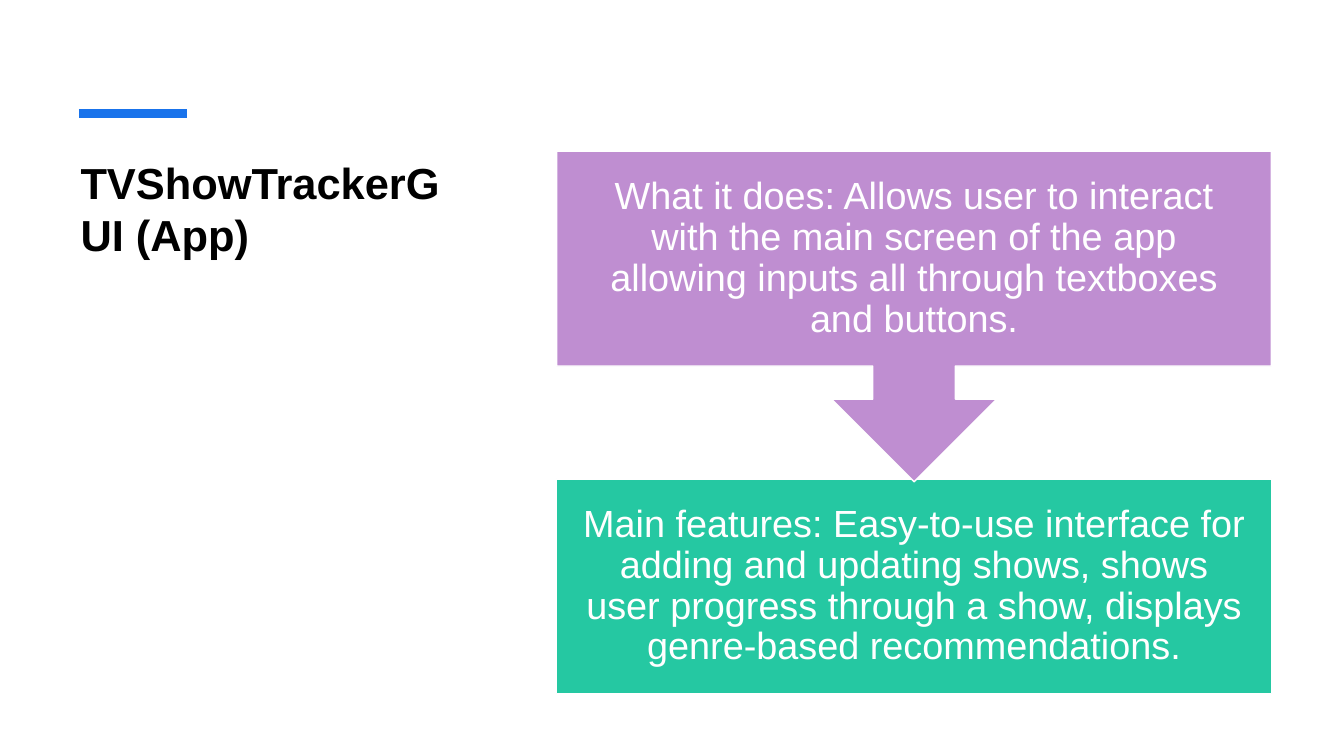
from dataclasses import dataclass

from lxml.etree import SubElement
from pptx import Presentation
from pptx.dml.color import RGBColor
from pptx.enum.shapes import MSO_CONNECTOR, MSO_SHAPE
from pptx.enum.text import MSO_ANCHOR, PP_ALIGN
from pptx.oxml.ns import qn
from pptx.slide import Slide
from pptx.util import Cm, Pt

COLORS = {
    "accent": "1973EB",
    "purpose": "BF8ED1",
    "features": "25C8A2",
    "heading": "000000",
    "light": "FFFFFF",
}
FONT = "Arial"

STEP_LEFT, STEP_WIDTH, STEP_HEIGHT = 14.03, 18.01, 5.41
STEP_INSET_X, STEP_INSET_Y = 0.58, 0.53
RULE_Y = 2.86


@dataclass
class Step:
    text: str
    color: str
    top: float
    outline: MSO_SHAPE
    outline_height: float
    rotation: int = 0


STEPS = [
    Step(
        "Main features: Easy-to-use interface for adding and updating shows, "
        "shows user progress through a show, displays genre-based recommendations.",
        "features", 12.07, MSO_SHAPE.RECTANGLE, STEP_HEIGHT,
    ),
    Step(
        "What it does: Allows user to interact with the main screen of the app "
        "allowing inputs all through textboxes and buttons.",
        "purpose", 3.81, MSO_SHAPE.UP_ARROW_CALLOUT, 8.33, 180,
    ),
]


def rgb(name: str) -> RGBColor:
    return RGBColor.from_string(COLORS[name])


def add_text(slide: Slide, text: str, left: float, top: float, width: float,
             height: float, size: float, color: str, bold: bool = False):
    """Add a wrapped one-paragraph text box and return its text frame."""
    frame = slide.shapes.add_textbox(Cm(left), Cm(top), Cm(width), Cm(height)).text_frame
    frame.word_wrap = True
    frame.text = text
    font = frame.paragraphs[0].runs[0].font
    font.name, font.size, font.bold = FONT, Pt(size), bold
    font.color.rgb = rgb(color)
    return frame


def add_accent_rule(slide: Slide) -> None:
    rule = slide.shapes.add_connector(
        MSO_CONNECTOR.STRAIGHT, Cm(1.99), Cm(RULE_Y), Cm(4.71), Cm(RULE_Y))
    rule.line.color.rgb = rgb("accent")
    rule.line.width = Pt(6)
    SubElement(rule.element.spPr, qn("a:effectLst"))


def add_step(slide: Slide, step: Step) -> None:
    # Coloured outline
    block = slide.shapes.add_shape(
        step.outline, Cm(STEP_LEFT), Cm(step.top), Cm(STEP_WIDTH), Cm(step.outline_height))
    block.rotation = step.rotation
    block.shadow.inherit = False
    block.fill.solid()
    block.fill.fore_color.rgb = rgb(step.color)
    block.line.color.rgb = rgb("light")
    block.line.width = Pt(1)

    # Upright wording over the outline
    wording = add_text(slide, step.text, STEP_LEFT, step.top,
                       STEP_WIDTH, STEP_HEIGHT, 27, "light")
    wording.vertical_anchor = MSO_ANCHOR.MIDDLE
    wording.margin_left = wording.margin_right = Cm(STEP_INSET_X)
    wording.margin_top = wording.margin_bottom = Cm(STEP_INSET_Y)
    wording.paragraphs[0].alignment = PP_ALIGN.CENTER
    wording.paragraphs[0].line_spacing = 0.9


def main() -> None:
    deck = Presentation()
    deck.slide_width, deck.slide_height = Cm(33.87), Cm(19.05)
    slide = deck.slides.add_slide(deck.slide_layouts[6])

    # Heading and accent rule
    add_text(slide, "TVShowTrackerGUI (App)", 1.78, 3.81, 10.21, 10.9,
             31, "heading", bold=True)
    add_accent_rule(slide)

    # Purpose pointing down to features
    for step in STEPS:
        add_step(slide, step)

    deck.save("out.pptx")


if __name__ == "__main__":
    main()
